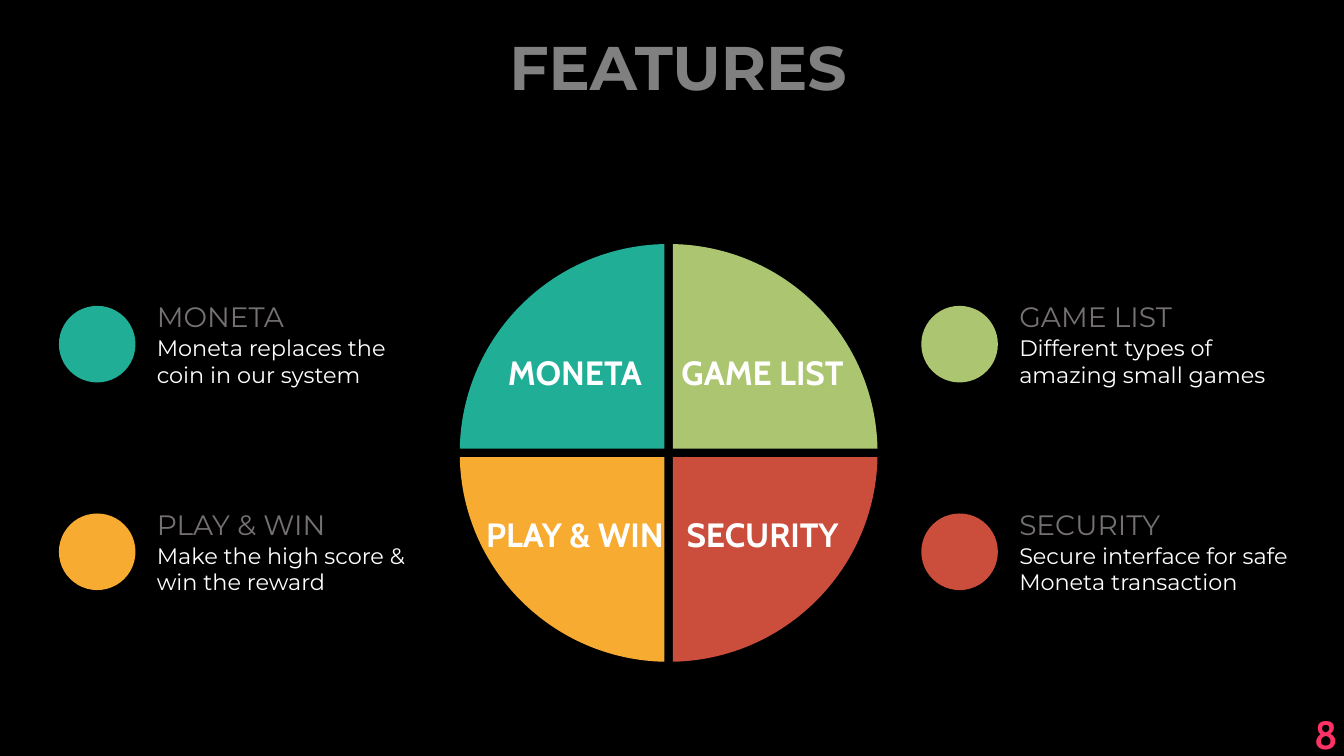
from math import asin, cos, pi, sin, tan

from lxml import etree
from pptx import Presentation
from pptx.dml.color import RGBColor
from pptx.enum import shapes, text
from pptx.oxml.ns import qn
from pptx.util import Pt

COLORS = {
    "background": "000000", "teal": "20AE97", "green": "ABC570",
    "orange": "F7AB31", "red": "CB4D3C", "white": "FFFFFF",
    "title": "808080", "heading": "767171", "number": "FD3265",
}
# name, description, colour, column, row
FEATURES = [
    ("MONETA", "Moneta replaces the coin in our system", "teal", 0, 0),
    ("GAME LIST", "Different types of amazing small games", "green", 1, 0),
    ("PLAY & WIN", "Make the high score & win the reward", "orange", 0, 1),
    ("SECURITY", "Secure interface for safe Moneta transaction", "red", 1, 1),
]
FORMATS = {
    "title": {"name": "Montserrat", "size": Pt(44), "bold": True},
    "label": {"name": "Cabin", "size": Pt(24), "bold": True},
    "heading": {"name": "Montserrat", "size": Pt(20), "bold": False},
    "body": {"name": "Montserrat", "size": Pt(16), "bold": False},
    "number": {"name": "Cabin", "size": Pt(28), "bold": True},
}
WHEEL_X, WHEEL_Y, RADIUS, HALF_GAP = 477.6, 323.5, 149.2, 3
LABEL_LEFT, LABEL_TOP = (336.2, 470.2), (247.7, 363.6)
DOT_LEFT, DOT_TOP, DOT_SIZE = (42.1, 658.1), (218.5, 366.8), 54.7


def rgb(color):
    return RGBColor.from_string(COLORS[color])


def paint(shape, color):
    shape.shadow.inherit = False
    shape.fill.solid()
    shape.fill.fore_color.rgb = rgb(color)
    shape.line.fill.background()


def write(parent, words, box, style, color, align=text.PP_ALIGN.LEFT):
    frame = parent.shapes.add_textbox(*map(Pt, box)).text_frame
    frame.word_wrap = True
    paragraph = frame.paragraphs[0]
    paragraph.text = words
    paragraph.alignment = align
    for attribute, value in FORMATS[style].items():
        setattr(paragraph.font, attribute, value)
    paragraph.font.color.rgb = rgb(color)


def add_quarter(group, column, row, color):
    """Draw one wheel quarter, cut back from the axes by half the gap."""
    side_x, side_y = 2 * column - 1, 2 * row - 1

    def place(x, y):
        return Pt(WHEEL_X + side_x * x), Pt(WHEEL_Y + side_y * y)

    start = asin(HALF_GAP / RADIUS)
    reach = RADIUS * cos(start)
    handle = RADIUS * 4 / 3 * tan((pi / 2 - 2 * start) / 4)
    bend_x = reach - handle * sin(start)
    bend_y = HALF_GAP + handle * cos(start)

    builder = group.shapes.build_freeform(*place(HALF_GAP, HALF_GAP))
    builder.add_line_segments([place(reach, HALF_GAP), place(HALF_GAP, reach)])
    quarter = builder.convert_to_shape()

    # The edge between the two tips becomes a curve.
    edge = list(quarter._element.iter(qn("a:lnTo")))[1]
    edge.tag = qn("a:cubicBezTo")
    for index, bend in enumerate([(bend_x, bend_y), (bend_y, bend_x)]):
        x, y = place(*bend)
        point = etree.Element(qn("a:pt"), x=str(x - quarter.left),
                              y=str(y - quarter.top))
        edge.insert(index, point)
    paint(quarter, color)


def add_wheel_part(slide, name, color, column, row):
    group = slide.shapes.add_group_shape()
    add_quarter(group, column, row, color)
    write(group, name, (LABEL_LEFT[column], LABEL_TOP[row], 149, 36),
          "label", "white", text.PP_ALIGN.CENTER)


def add_legend(slide, name, description, color, column, row):
    left, top = DOT_LEFT[column], DOT_TOP[row]
    dot = slide.shapes.add_shape(shapes.MSO_SHAPE.OVAL,
                                 *map(Pt, (left, top, DOT_SIZE, DOT_SIZE)))
    paint(dot, color)
    text_left = left + 62.9
    write(slide, name, (text_left, top - 8.1, 161, 31.5), "heading", "heading")
    write(slide, description, (text_left, top + 16.6, 208, 46), "body", "white")


def main():
    deck = Presentation()
    deck.slide_width, deck.slide_height = Pt(960), Pt(540)
    slide = deck.slides.add_slide(deck.slide_layouts[6])
    slide.background.fill.solid()
    slide.background.fill.fore_color.rgb = rgb("background")
    for name, _, *place in FEATURES:
        add_wheel_part(slide, name, *place)
    for feature in sorted(FEATURES, key=lambda feature: feature[3]):
        add_legend(slide, *feature)
    write(slide, "FEATURES", (195.4, 17.3, 578, 60.5), "title", "title",
          text.PP_ALIGN.CENTER)
    write(slide, "8", (931.7, 504, 28.3, 41), "number", "number")
    deck.save("out.pptx")


if __name__ == "__main__":
    main()
